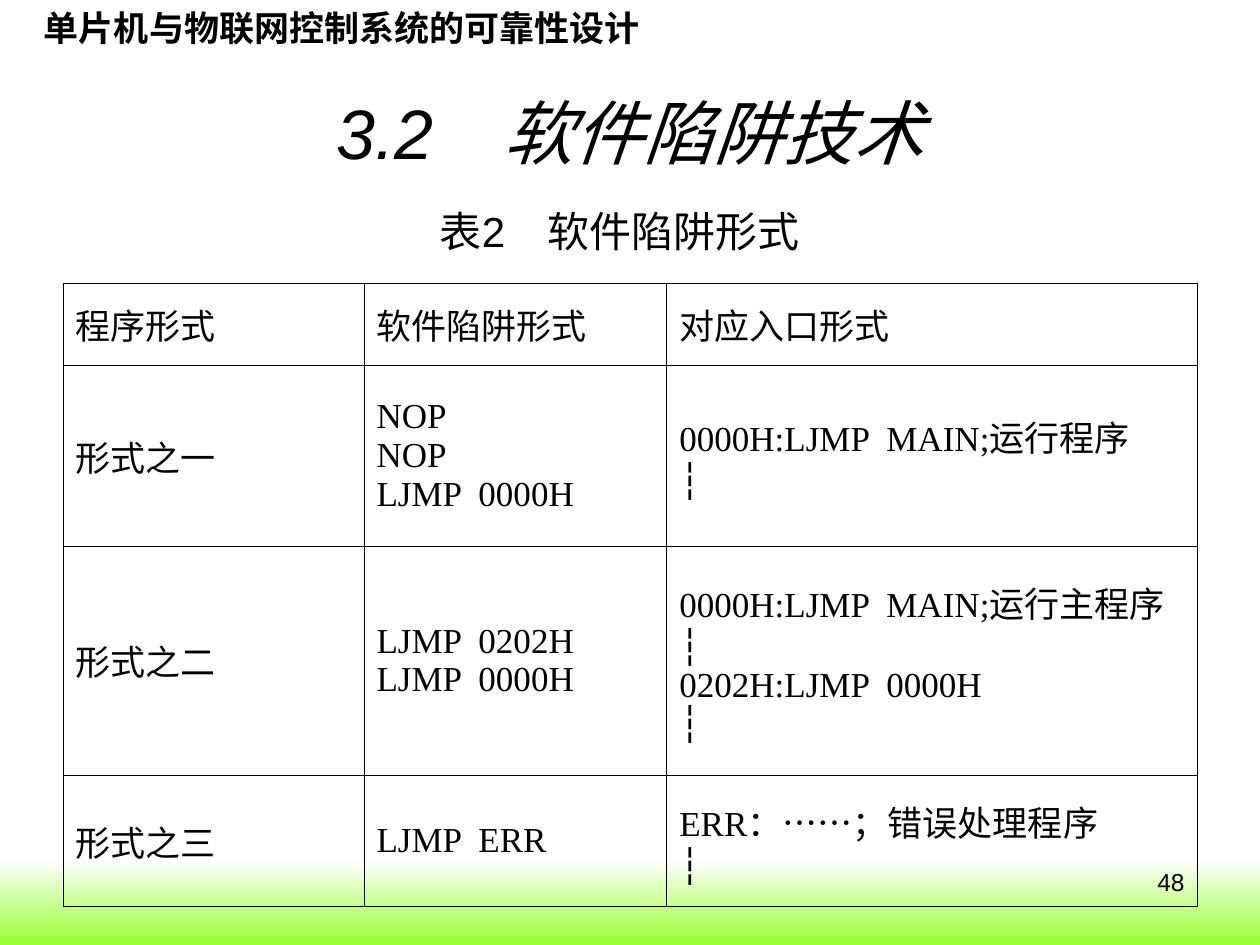
import pptx
import pptx.dml.color
import pptx.enum.text
import pptx.oxml
import pptx.oxml.ns
import pptx.util
from pptx.enum.shapes import MSO_SHAPE

Pt = pptx.util.Pt
ALIGN = pptx.enum.text.PP_ALIGN
ANCHOR = pptx.enum.text.MSO_ANCHOR
AUTO = pptx.enum.text.MSO_AUTO_SIZE

THEME = {
    "ink": "000000", "paper": "FFFFFF", "green": "99FF33",
    "sans": "Arial", "serif": "Times New Roman", "cjk": "Noto Sans CJK SC",
    "title": 40, "caption": 24, "body": 20, "number": 14,
    "rule": 0.45, "edge": 0.34, "heavy": 0.96,
}

# text, (left, top, width, height), size, font, extra settings
TEXTS = [
    ("单片机与物联网控制系统的可靠性设计", (18, 0, 384, 31.5), "body", "cjk",
     {"bold": True, "grow": True}),
    ("48", (516, 492, 168, 37.5), "number", "sans", {"align": ALIGN.RIGHT}),
    ("3.2　软件陷阱技术", (36, 42, 648, 66), "title", "sans",
     {"align": ALIGN.CENTER, "italic": True, "anchor": ANCHOR.MIDDLE}),
    ("表2　软件陷阱形式", (18, 114, 672, 36), "caption", "sans",
     {"align": ALIGN.CENTER, "grow": True}),
]

# each cell is a list of lines; a line is a string or a list of (text, font)
ROWS = [
    [["程序形式"], ["软件陷阱形式"], ["对应入口形式"]],
    [["形式之一"], ["NOP", "NOP", "LJMP  0000H"],
     ["0000H:LJMP  MAIN;运行程序", "┆"]],
    [["形式之二"], ["LJMP  0202H", "LJMP  0000H"],
     ["0000H:LJMP  MAIN;运行主程序", "┆", "0202H:LJMP  0000H", "┆"]],
    [["形式之三"], ["LJMP  ERR"],
     [[("ERR：", "serif"), ("……", "sans"), ("；错误处理程序", "serif")], "┆"]],
]
TABLE_LEFT, TABLE_TOP = 36, 162
COL_WIDTHS = [172, 173, 303]
ROW_HEIGHTS = [47, 103, 131, 75]
HANG = 27


def rgb(name):
    return pptx.dml.color.RGBColor.from_string(THEME[name])


def style_run(r, size, font, bold=False, italic=False):
    r.font.size = Pt(THEME[size])
    r.font.name = THEME[font]
    r.font.bold, r.font.italic = bold, italic
    r.font.color.rgb = rgb("ink")
    ea = pptx.oxml.parse_xml(
        f'<a:ea {pptx.oxml.ns.nsdecls("a")} typeface="{THEME["cjk"]}"/>')
    r.font._element.find(pptx.oxml.ns.qn("a:latin")).addnext(ea)


def add_text(slide, text, box, size, font, align=ALIGN.LEFT,
             anchor=ANCHOR.TOP, grow=False, **style):
    tf = slide.shapes.add_textbox(*map(Pt, box)).text_frame
    tf.word_wrap = True
    tf.auto_size = AUTO.SHAPE_TO_FIT_TEXT if grow else AUTO.NONE
    tf.vertical_anchor = anchor
    p = tf.paragraphs[0]
    p.text, p.alignment = text, align
    style_run(p.runs[0], size, font, **style)


def set_borders(cell, widths):
    """Draw the sides in the order left, right, top, bottom."""
    tcPr = cell._tc.get_or_add_tcPr()
    for i, (side, width) in enumerate(zip("LRTB", widths)):
        tcPr.insert(i, pptx.oxml.parse_xml(
            f'<a:ln{side} {pptx.oxml.ns.nsdecls("a")} w="{Pt(width)}">'
            f'<a:solidFill><a:srgbClr val="{THEME["ink"]}"/></a:solidFill>'
            f'</a:ln{side}>'))


def fill_cell(cell, lines):
    cell.fill.background()
    cell.vertical_anchor = ANCHOR.MIDDLE
    tf = cell.text_frame
    for i, line in enumerate(lines):
        p = tf.paragraphs[0] if i == 0 else tf.add_paragraph()
        pPr = p._p.get_or_add_pPr()
        pPr.set("marL", str(Pt(HANG)))
        pPr.set("indent", str(Pt(-HANG)))
        for text, font in [(line, "serif")] if isinstance(line, str) else line:
            r = p.add_run()
            r.text = text
            style_run(r, "body", font)


def add_trap_table(slide):
    n_rows, n_cols = len(ROWS), len(COL_WIDTHS)
    table = slide.shapes.add_table(
        n_rows, n_cols, Pt(TABLE_LEFT), Pt(TABLE_TOP),
        Pt(sum(COL_WIDTHS)), Pt(sum(ROW_HEIGHTS))).table
    table.first_row = table.horz_banding = False
    for column, width in zip(table.columns, COL_WIDTHS):
        column.width = Pt(width)
    rule, edge, heavy = THEME["rule"], THEME["edge"], THEME["heavy"]
    for i, row in enumerate(ROWS):
        table.rows[i].height = Pt(ROW_HEIGHTS[i])
        for j, lines in enumerate(row):
            cell = table.cell(i, j)
            fill_cell(cell, lines)
            set_borders(cell, (edge if j == 0 else rule,
                               edge if j == n_cols - 1 else rule,
                               heavy if i == 0 else rule,
                               heavy if i == n_rows - 1 else rule))


def add_footer_band(slide):
    sp = slide.shapes.add_shape(MSO_SHAPE.RECTANGLE, 0, Pt(491), Pt(720), Pt(49))
    sp.shadow.inherit = False
    sp.line.fill.background()
    sp.fill.gradient()
    sp.fill.gradient_angle = 270
    for stop, position, name in zip(sp.fill.gradient_stops, (0, 1), ("paper", "green")):
        stop.position = position
        stop.color.rgb = rgb(name)


def main():
    prs = pptx.Presentation()
    prs.slide_width, prs.slide_height = Pt(720), Pt(540)
    slide = prs.slides.add_slide(prs.slide_layouts[6])
    slide.background.fill.solid()
    slide.background.fill.fore_color.rgb = rgb("paper")
    add_footer_band(slide)
    for text, box, size, font, extra in TEXTS:
        add_text(slide, text, box, size, font, **extra)
    add_trap_table(slide)
    prs.save("out.pptx")


if __name__ == "__main__":
    main()
